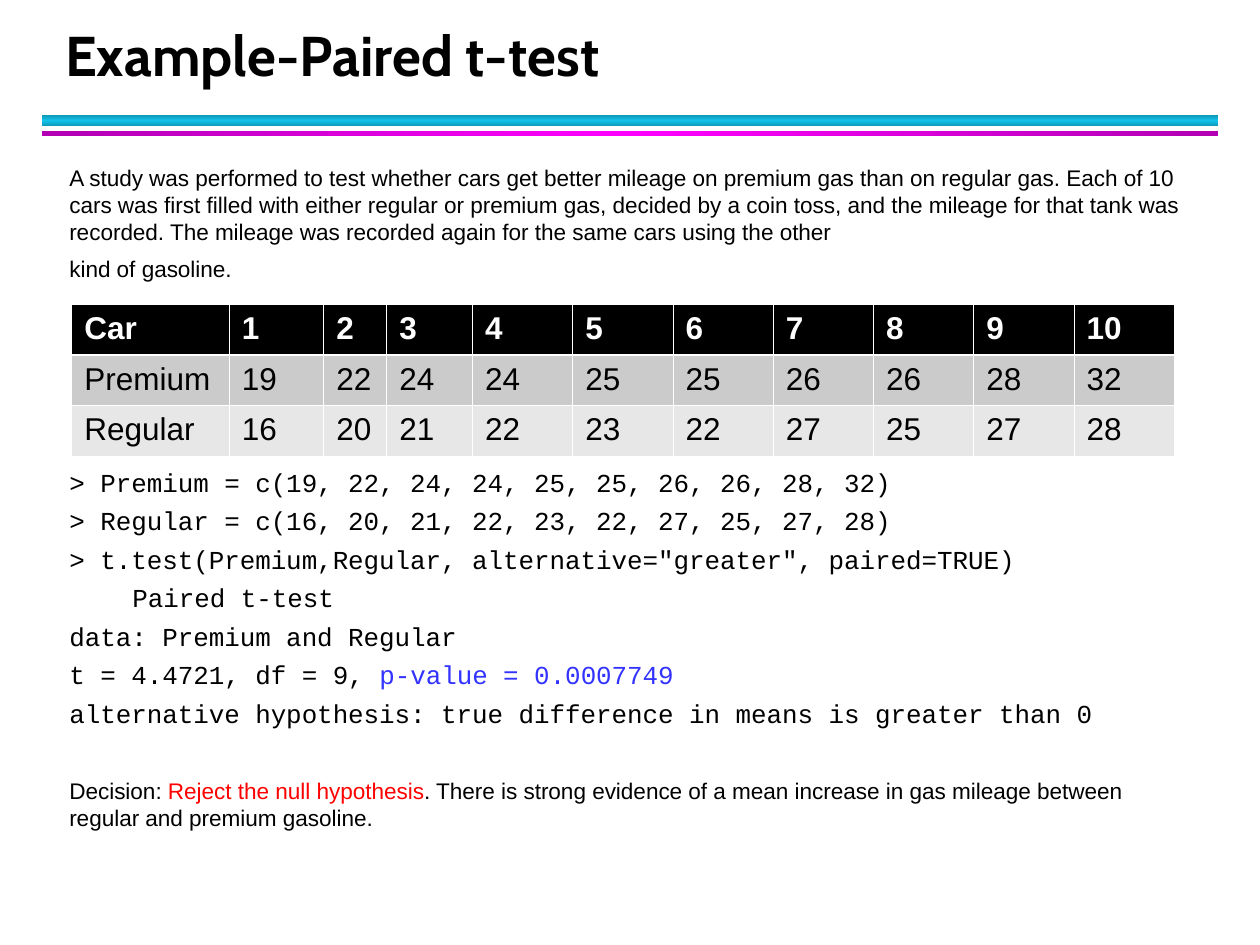
from copy import deepcopy
from dataclasses import dataclass

from lxml import etree
from pptx import Presentation
from pptx import util as u
from pptx.dml.color import RGBColor
from pptx.enum import shapes, text
from pptx.oxml import ns

Pt = u.Pt


@dataclass(frozen=True)
class Theme:
    black: str = "000000"
    white: str = "FFFFFF"
    blue: str = "3333FF"
    red: str = "FF0000"
    cyan: tuple = ("0E9BBA", "12C2E9")
    magenta: tuple = ("B200B2", "FF00FF")
    rows: tuple = ("000000", "CBCBCB", "E7E7E7")
    heading: str = "Cabin"
    prose: str = "Arial"
    code: str = "Courier New"
    title_size: float = 32
    table_size: float = 18
    prose_size: float = 12.9
    code_size: float = 14.8


theme = Theme()


def write(para, content, font=theme.prose, size=theme.prose_size, color=theme.black,
          bold=False, before=0, after=0, line=None):
    para.alignment = text.PP_ALIGN.LEFT
    para.space_before, para.space_after = Pt(before), Pt(after)
    if line:
        para.line_spacing = Pt(line)
    for words, tint in [(content, color)] if isinstance(content, str) else content:
        span = para.add_run()
        span.text = words
        span.font.name, span.font.size, span.font.bold = font, Pt(size), bold
        span.font.color.rgb = RGBColor.from_string(tint)


def place(shape, box):
    shape.left, shape.top, shape.width, shape.height = (Pt(value) for value in box)


def add_title(page, box, content):
    title = page.shapes.title
    place(title, box)
    title.text_frame.vertical_anchor = text.MSO_ANCHOR.BOTTOM
    title.text_frame.auto_size = text.MSO_AUTO_SIZE.NONE
    write(title.text_frame.paragraphs[0], content, font=theme.heading,
          size=theme.title_size, bold=True, line=36)


def add_band(page, box, colors, angle):
    band = page.shapes.add_shape(shapes.MSO_SHAPE.RECTANGLE, *(Pt(value) for value in box))
    band.shadow.inherit = False
    band.line.fill.background()
    band.fill.gradient()
    band.fill.gradient_angle = angle
    edge, center = colors
    for stop in band.fill.gradient_stops:
        stop.color.rgb = RGBColor.from_string(edge)
    stops = band._element.spPr.find(".//" + ns.qn("a:gsLst"))
    stops.insert(1, deepcopy(stops[0]))
    middle = band.fill.gradient_stops[1]
    middle.position = 0.5
    middle.color.rgb = RGBColor.from_string(center)


def add_rules(page, box):
    left, top, width, height = box
    add_band(page, (left, top, width, height / 2), theme.cyan, 90)
    add_band(page, (left, top + height * 0.75, width, height / 4), theme.magenta, 0)


def add_body(page, box, intro, listing, decision):
    body = page.placeholders[1]
    place(body, box)
    frame = body.text_frame
    frame.auto_size = text.MSO_AUTO_SIZE.NONE
    prose = dict(before=1.8, after=4, line=15.4)
    code = dict(font=theme.code, size=theme.code_size, before=2, after=4, line=16)
    lines = [(content, prose) for content in intro]
    lines += [(listing[0], code | {"before": 103.4})]
    lines += [(content, code) for content in listing[1:]]
    lines += [(decision, prose | {"before": 23.5})]
    for index, (content, style) in enumerate(lines):
        para = frame.add_paragraph() if index else frame.paragraphs[0]
        write(para, content, **style)
        properties = para._p.get_or_add_pPr()
        properties.set("marL", "0")
        properties.set("indent", "0")
        etree.SubElement(properties, ns.qn("a:buNone"))


def add_border(cell, side, width):
    line = etree.SubElement(cell._tc.get_or_add_tcPr(), ns.qn("a:ln" + side), w=str(Pt(width)))
    fill = etree.SubElement(line, ns.qn("a:solidFill"))
    etree.SubElement(fill, ns.qn("a:srgbClr"), val=theme.white)


def add_mileage_table(page, box, widths, records):
    table = page.shapes.add_table(len(records), len(widths), *(Pt(value) for value in box)).table
    for column, width in zip(table.columns, widths):
        column.width = Pt(width)
    for index, record in enumerate(records):
        table.rows[index].height = Pt(box[3] / len(records))
        heavy = {0: "B", 1: "T"}.get(index)
        for column, value in enumerate(record):
            cell = table.cell(index, column)
            for side in "LRTB":
                add_border(cell, side, 1.47 if side == heavy else 0.45)
            cell.fill.solid()
            cell.fill.fore_color.rgb = RGBColor.from_string(theme.rows[index])
            write(cell.text_frame.paragraphs[0], str(value), size=theme.table_size,
                  color=theme.black if index else theme.white, bold=index == 0)


def add_example(deck):
    page = deck.slides.add_slide(deck.slide_layouts[1])
    premium = [19, 22, 24, 24, 25, 25, 26, 26, 28, 32]
    regular = [16, 20, 21, 22, 23, 22, 27, 25, 27, 28]
    add_rules(page, (24, 66, 672, 12))
    add_title(page, (30, 12.2, 652.3, 41.8), "Example-Paired t-test")
    add_body(
        page, (32.4, 90, 655.2, 408),
        ["A study was performed to test whether cars get better mileage on premium gas than on "
         "regular gas. Each of 10 cars was first filled with either regular or premium gas, "
         "decided by a coin toss, and the mileage for that tank was recorded. The mileage was "
         "recorded again for the same cars using the other",
         "kind of gasoline."],
        [f"> Premium = c({', '.join(map(str, premium))})",
         f"> Regular = c({', '.join(map(str, regular))})",
         '> t.test(Premium,Regular, alternative="greater", paired=TRUE)',
         "\tPaired t-test",
         "data: Premium and Regular",
         [("t = 4.4721, df = 9, ", theme.black), ("p-value = 0.0007749", theme.blue)],
         "alternative hypothesis: true difference in means is greater than 0"],
        [("Decision: ", theme.black), ("Reject the null hypothesis", theme.red),
         (". There is strong evidence of a mean increase in gas mileage between regular and "
          "premium gasoline.", theme.black)])
    add_mileage_table(
        page, (41, 174.2, 630, 86.4), [90, 54, 36, 49] + [57.3] * 7,
        [["Car", *range(1, 11)], ["Premium", *premium], ["Regular", *regular]])


deck = Presentation()
deck.slide_width, deck.slide_height = Pt(720), Pt(540)
add_example(deck)
deck.save("out.pptx")
